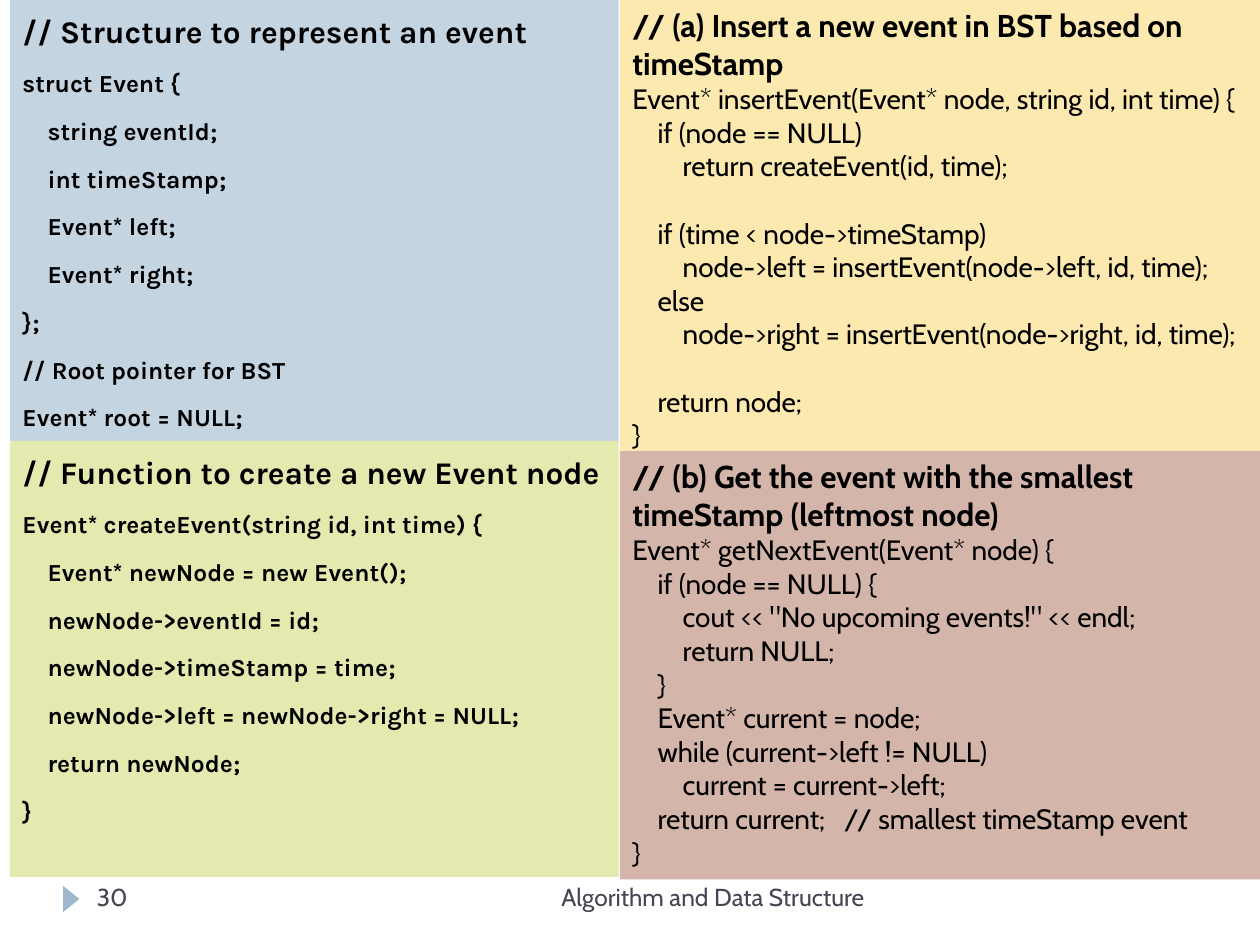
from pptx import Presentation
from pptx.dml.color import RGBColor
from pptx.enum.shapes import MSO_SHAPE
from pptx.enum.text import MSO_ANCHOR, PP_ALIGN
from pptx.util import Inches, Pt

RECT, TRIANGLE = MSO_SHAPE.RECTANGLE, MSO_SHAPE.ISOSCELES_TRIANGLE
TOP, LEFT, RIGHT = MSO_ANCHOR.TOP, PP_ALIGN.LEFT, PP_ALIGN.RIGHT

INDENT = 0.2  # inches per code level
KARLA = {
    "font": "Karla", "size": 14, "bold": True, "blank": 0,
    "para": {"line_spacing": 1.15, "space_after": Pt(8)},
}
CABIN = {"font": "Cabin", "size": 16, "bold": False, "blank": 19.2, "para": {}}

# Code lines are (level, text); None leaves a line's gap above the next one
STRUCT = [
    (0, "struct Event {"),
    (1, "string eventId;"),
    (1, "int timeStamp;"),
    (1, "Event* left;"),
    (1, "Event* right;"),
    (0, "};"),
    (0, "// Root pointer for BST"),
    (0, "Event* root = NULL;"),
]
CREATE = [
    (0, "Event* createEvent(string id, int time) {"),
    (1, "Event* newNode = new Event();"),
    (1, "newNode->eventId = id;"),
    (1, "newNode->timeStamp = time;"),
    (1, "newNode->left = newNode->right = NULL;"),
    (1, "return newNode;"),
    (0, "}"),
]
INSERT = [
    (0, "Event* insertEvent(Event* node, string id, int time) {"),
    (1, "if (node == NULL)"),
    (2, "return createEvent(id, time);"),
    None,
    (1, "if (time < node->timeStamp)"),
    (2, "node->left = insertEvent(node->left, id, time);"),
    (1, "else"),
    (2, "node->right = insertEvent(node->right, id, time);"),
    None,
    (1, "return node;"),
    (0, "}"),
]
SMALLEST = [
    (0, "Event* getNextEvent(Event* node) {"),
    (1, "if (node == NULL) {"),
    (2, 'cout << "No upcoming events!" << endl;'),
    (2, "return NULL;"),
    (1, "}"),
    (1, "Event* current = node;"),
    (1, "while (current->left != NULL)"),
    (2, "current = current->left;"),
    (1, "return current;   // smallest timeStamp event"),
    (0, "}"),
]

# Box, fill, style, heading, code
PANELS = [
    ((0.08, 0, 4.83, 3.5), "C5D4E1", KARLA,
     "// Structure to represent an event", STRUCT),
    ((4.92, 0, 5.08, 4.39), "FCE9AF", CABIN,
     "// (a) Insert a new event in BST based on timeStamp", INSERT),
    ((0.08, 3.5, 4.83, 3.46), "E4E9AF", KARLA,
     "// Function to create a new Event node", CREATE),
    ((4.92, 3.58, 5.08, 3.4), "D4B5AA", CABIN,
     "// (b) Get the event with the smallest timeStamp (leftmost node)", SMALLEST),
]


def rgb(color):
    return RGBColor.from_string(color)


def add_filled(slide, kind, box, color):
    sp = slide.shapes.add_shape(kind, *map(Inches, box))
    sp.shadow.inherit = False
    sp.fill.solid()
    sp.fill.fore_color.rgb = rgb(color)
    sp.line.fill.background()
    return sp


def write(p, text, font, size, color="000000", bold=False, **para):
    r = p.add_run()
    r.text = text
    for name, value in {"name": font, "size": Pt(size), "bold": bold}.items():
        setattr(r.font, name, value)
    r.font.color.rgb = rgb(color)
    for name, value in para.items():
        setattr(p, name, value)


def code_panel(slide, box, color, style, heading, code):
    tf = add_filled(slide, RECT, box, color).text_frame
    tf.word_wrap = True
    tf.vertical_anchor = TOP
    para = {"alignment": LEFT, **style["para"]}
    write(tf.paragraphs[0], heading, style["font"], 18, bold=True, **para)
    gap = 0
    for line in code:
        if line is None:
            gap = style["blank"]
            continue
        level, text = line
        p = tf.add_paragraph()
        write(p, text, style["font"], style["size"], bold=style["bold"],
              space_before=Pt(gap), **para)
        if level:
            p_pr = p._p.get_or_add_pPr()
            p_pr.set("marL", str(Inches(INDENT * level)))
            p_pr.set("indent", "0")
        gap = 0


def footer(slide, top):
    # Page marker
    add_filled(slide, TRIANGLE, (0.46, top + 0.12, 0.21, 0.13), "9FB8CD").rotation = 90
    # Page number and course name
    for left, width, text, align in (
        (0.67, 2.17, "30", LEFT),
        (3.17, 3.79, "Algorithm and Data Structure", RIGHT),
    ):
        box = slide.shapes.add_textbox(*map(Inches, (left, top, width, 0.4)))
        tf = box.text_frame
        tf.word_wrap = True
        write(tf.paragraphs[0], text, "Cabin", 14, "464653", alignment=align)


def main():
    prs = Presentation()
    prs.slide_width, prs.slide_height = Inches(10), Inches(7.5)
    slide = prs.slides.add_slide(prs.slide_layouts[6])
    for panel in PANELS:
        code_panel(slide, *panel)
    footer(slide, 6.95)
    prs.save("out.pptx")


if __name__ == "__main__":
    main()
